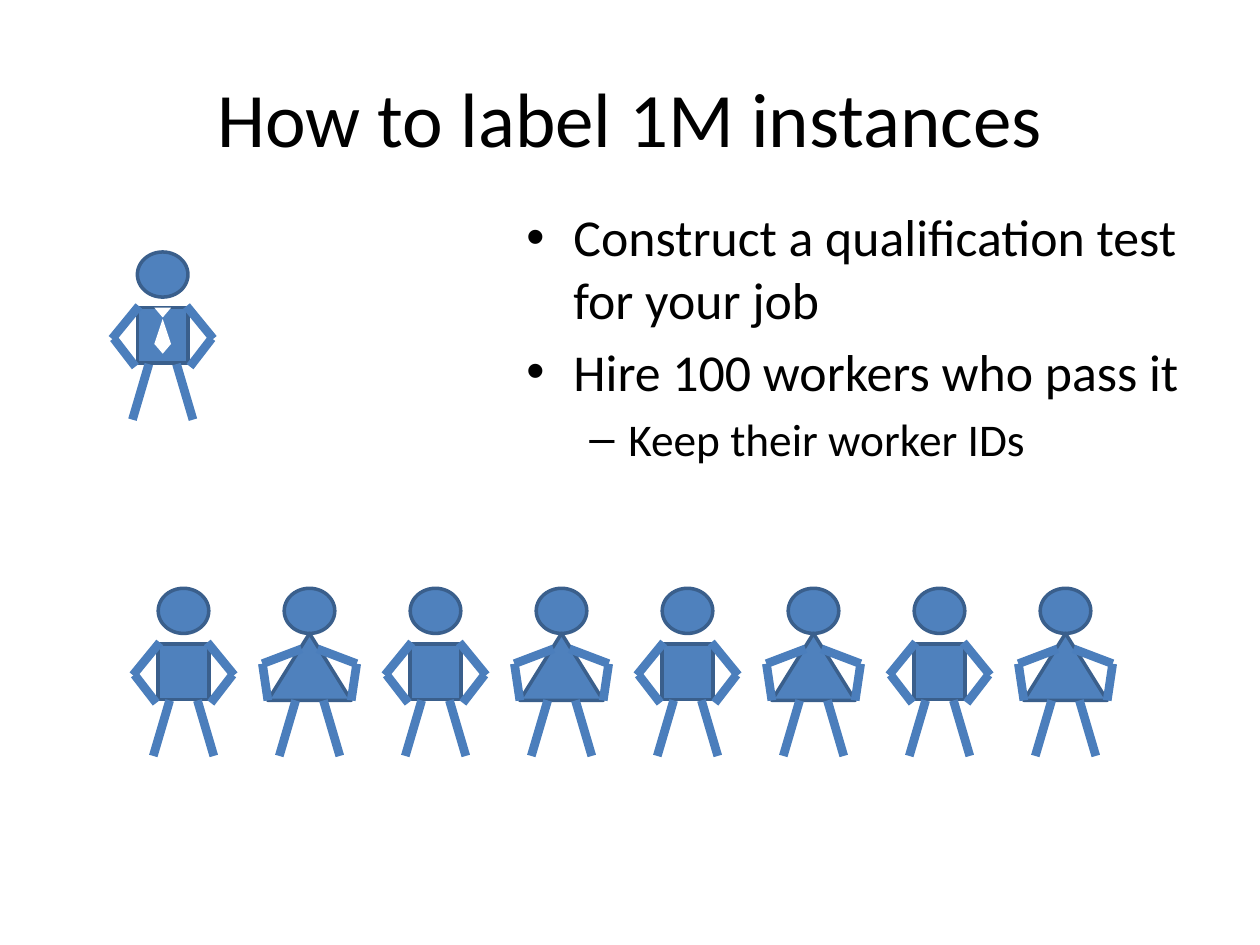
from dataclasses import dataclass

from lxml.etree import SubElement
from pptx import Presentation
from pptx.dml.color import RGBColor
from pptx.enum.shapes import MSO_CONNECTOR, MSO_SHAPE
from pptx.enum.text import MSO_ANCHOR, PP_ALIGN
from pptx.oxml.ns import qn
from pptx.util import Cm, Pt


@dataclass(frozen=True)
class Theme:
    font: str = "Calibri"
    text: RGBColor = RGBColor(0x00, 0x00, 0x00)
    body: RGBColor = RGBColor(0x4F, 0x81, 0xBD)
    outline: RGBColor = RGBColor(0x3A, 0x5F, 0x8C)
    limb: RGBColor = RGBColor(0x4B, 0x7E, 0xBC)
    tie: RGBColor = RGBColor(0xFF, 0xFF, 0xFF)
    title_size: float = 44
    level_sizes: tuple = (29.6, 25.9)
    outline_width: float = 2
    limb_width: float = 5


THEME = Theme()

# Bullet levels: left margin (cm), hanging indent (cm), bullet character
LEVELS = ((0.95, -0.95, "•"), (2.06, -0.79, "–"))
BULLETS = (
    (0, "Construct a qualification test for your job"),
    (0, "Hire 100 workers who pass it"),
    (1, "Keep their worker IDs"),
)

# Right-hand limbs in cm from the centre line and the top of the head
LEG = ((0.28, 2.26), (0.61, 3.38))
MAN_ARM = (((0.48, 1.09), (1.02, 1.75)), ((0.99, 1.74), (0.55, 2.31)))
WOMAN_ARM = (((0.16, 1.22), (0.95, 1.52)), ((0.95, 1.52), (0.84, 2.26)))

# Tie pieces: top, height, rotation
TIE = ((1.35, 0.51, 0), (1.85, 0.2, 180), (1.12, 0.2, 180))

WORKERS = 8
WORKER_PITCH = 2.54


def style_text(para, size):
    for span in para.runs:
        span.font.name = THEME.font
        span.font.size = Pt(size)
        span.font.color.rgb = THEME.text


def add_title(page, text):
    title = page.shapes.title
    title.left, title.top, title.width, title.height = Cm(1.27), Cm(0.76), Cm(22.86), Cm(3.18)
    frame = title.text_frame
    frame.text = text
    frame.vertical_anchor = MSO_ANCHOR.MIDDLE
    frame.paragraphs[0].alignment = PP_ALIGN.CENTER
    style_text(frame.paragraphs[0], THEME.title_size)


def add_bullets(page):
    box = page.shapes.add_textbox(Cm(10.36), Cm(4.01), Cm(13.97), Cm(6.55))
    frame = box.text_frame
    frame.word_wrap = True
    for index, (level, text) in enumerate(BULLETS):
        para = frame.add_paragraph() if index else frame.paragraphs[0]
        para.text = text
        para.level = level
        margin, indent, bullet = LEVELS[level]
        properties = para._p.get_or_add_pPr()
        properties.set("marL", str(Cm(margin)))
        properties.set("indent", str(Cm(indent)))
        SubElement(properties, qn("a:buFont")).set("typeface", "Arial")
        SubElement(properties, qn("a:buChar")).set("char", bullet)
        size = THEME.level_sizes[level]
        para.space_before = Pt(round(0.2 * size, 1) if index else 0)
        style_text(para, size)


def add_part(figure, kind, centre, top, width, height, fill, outline=None):
    part = figure.shapes.add_shape(
        kind, Cm(centre - width / 2), Cm(top), Cm(width), Cm(height))
    part.shadow.inherit = False
    part.fill.solid()
    part.fill.fore_color.rgb = fill
    if outline is None:
        part.line.fill.background()
    else:
        part.line.color.rgb = outline
        part.line.width = Pt(THEME.outline_width)
    return part


def add_limb_pair(figure, centre, top, limb):
    (x1, y1), (x2, y2) = limb
    for side in (1, -1):
        line = figure.shapes.add_connector(
            MSO_CONNECTOR.STRAIGHT,
            Cm(centre + side * x1), Cm(top + y1), Cm(centre + side * x2), Cm(top + y2))
        line.line.color.rgb = THEME.limb
        line.line.width = Pt(THEME.limb_width)
        SubElement(line._element.spPr, qn("a:effectLst"))


def add_person(page, centre, top, woman=False, tie=False):
    figure = page.shapes.add_group_shape()
    colours = (THEME.body, THEME.outline)
    add_part(figure, MSO_SHAPE.OVAL, centre, top, 1.02, 0.91, *colours)
    if woman:
        add_part(figure, MSO_SHAPE.ISOSCELES_TRIANGLE, centre, top + 0.91, 1.68, 1.35, *colours)
    else:
        add_part(figure, MSO_SHAPE.RECTANGLE, centre, top + 1.12, 1.02, 1.12, *colours)
    for limb in (*(WOMAN_ARM if woman else MAN_ARM), LEG):
        add_limb_pair(figure, centre, top, limb)
    if tie:
        for offset, height, rotation in TIE:
            piece = add_part(figure, MSO_SHAPE.ISOSCELES_TRIANGLE,
                             centre, top + offset, 0.34, height, THEME.tie)
            piece.rotation = rotation


def main():
    deck = Presentation()
    deck.slide_width, deck.slide_height = Cm(25.4), Cm(19.05)
    page = deck.slides.add_slide(deck.slide_layouts[5])
    add_title(page, "How to label 1M instances")

    # The requester
    add_person(page, 3.28, 5.08, tie=True)

    # The row of workers, men and women in turn
    for index in range(WORKERS):
        add_person(page, 3.7 + index * WORKER_PITCH, 11.86, woman=index % 2 == 1)

    add_bullets(page)
    deck.save("out.pptx")


if __name__ == "__main__":
    main()
